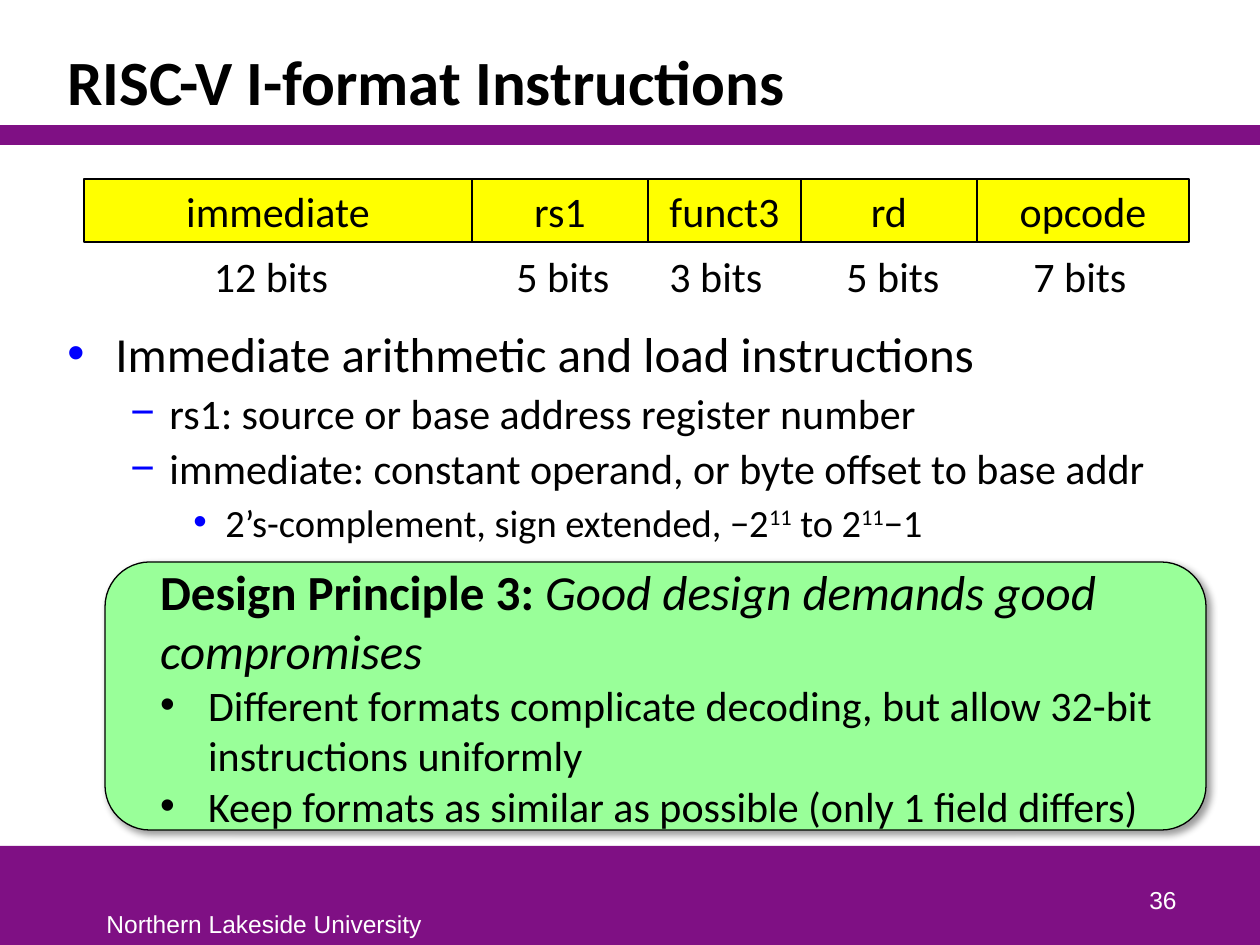
from dataclasses import dataclass

import lxml.etree
import pptx
import pptx.dml.color
import pptx.enum.shapes
import pptx.enum.text
import pptx.oxml
import pptx.oxml.ns
import pptx.util

EMU_PER_PX = 914400 / 126
ALIGN = pptx.enum.text.PP_ALIGN
ANCHOR = pptx.enum.text.MSO_ANCHOR
SHAPE = pptx.enum.shapes.MSO_SHAPE


@dataclass(frozen=True)
class Theme:
    purple: str = "7F1084"
    yellow: str = "FFFF00"
    green: str = "99FF99"
    blue: str = "0000FF"
    black: str = "000000"
    white: str = "FFFFFF"
    body_font: str = "Calibri"
    footer_font: str = "Arial"
    title_size: int = 36
    heading_size: int = 28
    text_size: int = 24
    detail_size: int = 22
    footer_size: int = 14


THEME = Theme()

# name, width, bit count, centre of the bit count
FIELDS = [
    ("immediate", 388, "12 bits", 271),
    ("rs1", 176, "5 bits", 563),
    ("funct3", 153, "3 bits", 716),
    ("rd", 176, "5 bits", 893),
    ("opcode", 212, "7 bits", 1080),
]

# bullet character, left margin, hanging indent, type size
LEVELS = [
    ("•", 48, 48, THEME.heading_size),
    ("−", 102, 39, THEME.text_size),
    ("•", 158, 32, THEME.detail_size),
]

# level, runs
OUTLINE = [
    (0, ["Immediate arithmetic and load instructions"]),
    (1, ["rs1: source or base address register number"]),
    (1, ["immediate: constant operand, or byte offset to base addr"]),
    (2, ["2’s-complement, sign extended, −2", ("11", {"superscript": True}),
         " to 2", ("11", {"superscript": True}), "−1"]),
]

PRINCIPLE = [("Design Principle 3: ", {"bold": True}),
             ("Good design demands good compromises", {"italic": True})]
REASONS = [
    "Different formats complicate decoding, but allow 32-bit instructions uniformly",
    "Keep formats as similar as possible (only 1 field differs)",
]


def px(length):
    return pptx.util.Emu(round(length * EMU_PER_PX))


def rgb(color):
    return pptx.dml.color.RGBColor.from_string(color)


def add_xml(parent, tag, **attributes):
    return lxml.etree.SubElement(parent, pptx.oxml.ns.qn(tag), attributes)


def set_bullet(paragraph, character, margin, hanging, color):
    properties = paragraph._p.get_or_add_pPr()
    properties.set("marL", str(px(margin)))
    properties.set("indent", str(-px(hanging)))
    add_xml(add_xml(properties, "a:buClr"), "a:srgbClr", val=color)
    add_xml(properties, "a:buFont", typeface=THEME.footer_font)
    add_xml(properties, "a:buChar", char=character)


def add_text(frame, runs, size=THEME.text_size, font=THEME.body_font, color=THEME.black,
             bold=False, align=ALIGN.LEFT, space_before=0, line_spacing=None, bullet=None):
    """Add a paragraph; a run is plain text or a pair of text and its own format."""
    paragraph = frame.paragraphs[0]
    if paragraph.runs:
        paragraph = frame.add_paragraph()
    paragraph.alignment = align
    paragraph.space_before = pptx.util.Pt(space_before)
    paragraph.line_spacing = line_spacing
    if bullet:
        set_bullet(paragraph, *bullet)
    for item in [runs] if isinstance(runs, str) else runs:
        text, own_format = (item, {}) if isinstance(item, str) else item
        run = paragraph.add_run()
        run.text = text
        run.font.size = pptx.util.Pt(size)
        run.font.name = font
        run.font.color.rgb = rgb(color)
        run.font.bold = own_format.get("bold", bold)
        run.font.italic = own_format.get("italic", False)
        if own_format.get("superscript"):
            run.font._element.set("baseline", "30000")


def add_text_box(slide, left, top, width, height, anchor=ANCHOR.TOP, wrap=True):
    frame = slide.shapes.add_textbox(px(left), px(top), px(width), px(height)).text_frame
    frame.word_wrap = wrap
    frame.vertical_anchor = anchor
    return frame


def add_box(slide, left, top, width, height, fill, kind=SHAPE.RECTANGLE, line_width=0):
    shape = slide.shapes.add_shape(kind, px(left), px(top), px(width), px(height))
    shape.shadow.inherit = False
    shape.fill.solid()
    shape.fill.fore_color.rgb = rgb(fill)
    if line_width:
        shape.line.color.rgb = rgb(THEME.black)
        shape.line.width = pptx.util.Pt(line_width)
    else:
        shape.line.fill.background()
    shape.text_frame.word_wrap = True
    shape.text_frame.vertical_anchor = ANCHOR.MIDDLE
    return shape


def add_soft_shadow(shape):
    effects = shape._element.spPr.find(pptx.oxml.ns.qn("a:effectLst"))
    shadow = add_xml(effects, "a:outerShdw", blurRad=str(pptx.util.Pt(4)),
                     dist=str(pptx.util.Pt(3)), dir="2700000", algn="tl", rotWithShape="0")
    color = add_xml(shadow, "a:srgbClr", val=THEME.black)
    add_xml(color, "a:alpha", val="40000")


def add_instruction_format(slide):
    left = 84
    for name, width, bits, bits_center in FIELDS:
        field = add_box(slide, left, 179, width, 63, THEME.yellow, line_width=1.5)
        frame = field.text_frame
        frame.margin_left = frame.margin_right = px(5)
        add_text(frame, name, align=ALIGN.CENTER)
        label = add_text_box(slide, bits_center - 70, 244, 140, 63)
        add_text(label, bits, align=ALIGN.CENTER)
        left += width


def add_outline(slide):
    frame = add_text_box(slide, 55, 317, 1150, 240)
    for level, runs in OUTLINE:
        character, margin, hanging, size = LEVELS[level]
        add_text(frame, runs, size=size, space_before=3,
                 bullet=(character, margin, hanging, THEME.blue))


def add_design_principle(slide):
    panel = add_box(slide, 105, 562, 1101, 268, THEME.green,
                    kind=SHAPE.ROUNDED_RECTANGLE, line_width=0.75)
    add_soft_shadow(panel)
    frame = panel.text_frame
    frame.margin_left = px(42)
    add_text(frame, PRINCIPLE, size=THEME.heading_size)
    for reason in REASONS:
        add_text(frame, reason, bullet=("•", 48, 48, THEME.black))


def add_footer(slide):
    footer_format = {"size": THEME.footer_size, "font": THEME.footer_font, "color": THEME.white}
    add_text(add_text_box(slide, 94, 903, 348, 42, wrap=False),
             "Northern Lakeside University", **footer_format)
    add_text(add_text_box(slide, 927, 858, 262, 63, anchor=ANCHOR.BOTTOM),
             "36", align=ALIGN.RIGHT, **footer_format)


def main():
    presentation = pptx.Presentation()
    presentation.slide_width, presentation.slide_height = px(1260), px(945)
    slide = presentation.slides.add_slide(presentation.slide_layouts[6])
    add_box(slide, 0, 846, 1260, 99, THEME.purple)
    add_box(slide, 0, 125, 1260, 20, THEME.purple)
    add_text(add_text_box(slide, 55, 32, 1150, 93, anchor=ANCHOR.BOTTOM),
             "RISC-V I-format Instructions", size=THEME.title_size, bold=True, line_spacing=0.85)
    add_outline(slide)
    add_design_principle(slide)
    add_instruction_format(slide)
    add_footer(slide)
    presentation.save("out.pptx")


if __name__ == "__main__":
    main()
